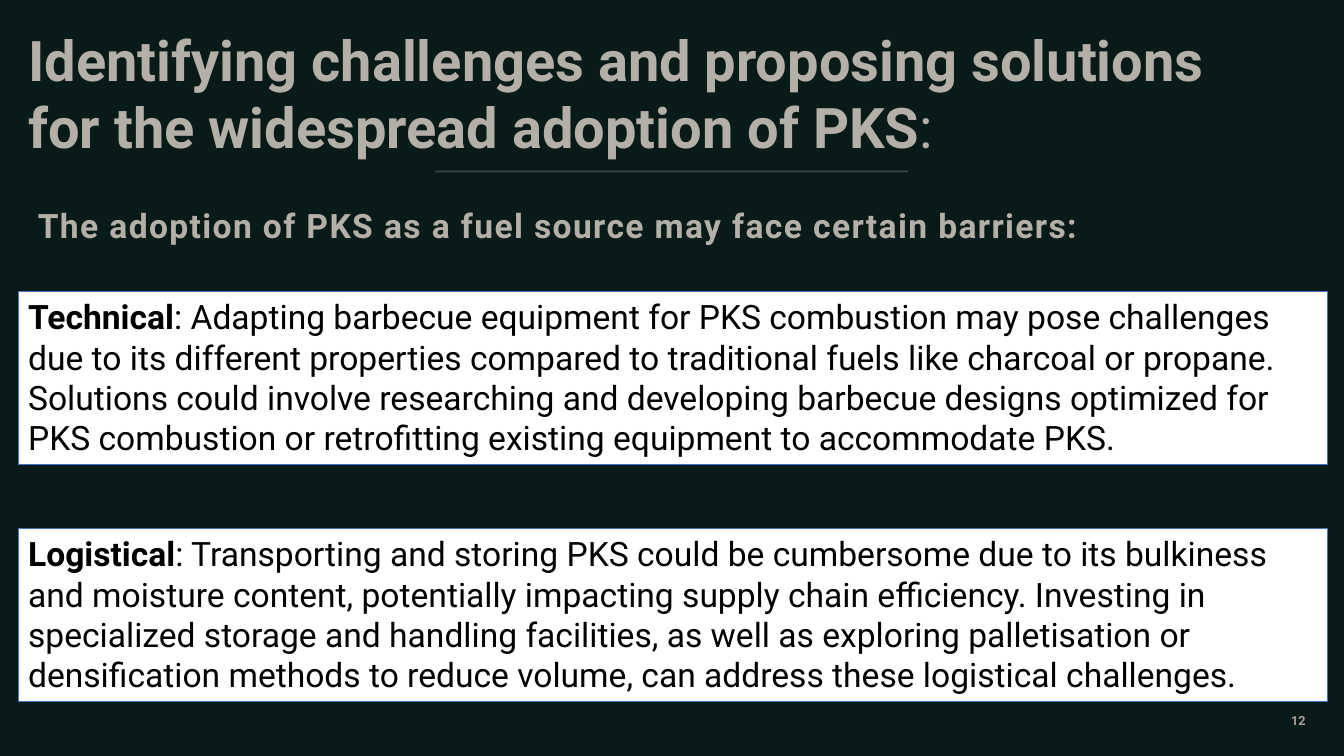
from dataclasses import dataclass

from lxml import etree
from pptx import Presentation
from pptx.dml import color
from pptx.enum import shapes, text
from pptx.oxml import ns
from pptx.util import Pt


@dataclass(frozen=True)
class Theme:
    font: str = "Roboto"
    background: str = "081B19"
    heading: str = "B5B0A7"
    rule: str = "415347"
    number: str = "E2D4CA"
    panel: str = "FFFFFF"
    panel_border: str = "4472C4"
    panel_text: str = "000000"
    title_size: int = 40
    body_size: int = 24
    number_size: int = 9


def rgb(value):
    return color.RGBColor.from_string(value)


def add_child(parent, tag, **attributes):
    return etree.SubElement(parent, ns.qn(tag), attributes)


def make_translucent(element, percent):
    for fill_color in element.iter(ns.qn("a:srgbClr")):
        add_child(fill_color, "a:alpha", val=str(percent * 1000))


class Page:
    def __init__(self, deck, theme):
        self.theme = theme
        self.page = deck.slides.add_slide(deck.slide_layouts[1])
        fill = self.page.background.fill
        fill.solid()
        fill.fore_color.rgb = rgb(theme.background)

    def place(self, box, left, top, width, height):
        box.left, box.top = Pt(left), Pt(top)
        box.width, box.height = Pt(width), Pt(height)

    def add_spans(self, box, spans, size, ink, align=text.PP_ALIGN.LEFT,
                  anchor=text.MSO_ANCHOR.TOP):
        """Fill the first paragraph with (wording, bold) spans."""
        frame = box.text_frame
        frame.word_wrap = True
        frame.auto_size = text.MSO_AUTO_SIZE.NONE
        frame.vertical_anchor = anchor
        para = frame.paragraphs[0]
        para.alignment = align
        para.space_before = Pt(0)
        for wording, bold in spans:
            span = para.add_run()
            span.text = wording
            span.font.name = self.theme.font
            span.font.size = Pt(size)
            span.font.bold = bold
            span.font.color.rgb = rgb(ink)
        return para

    def title(self, spans, *bounds):
        box = self.page.shapes.title
        self.place(box, *bounds)
        self.add_spans(box, spans, self.theme.title_size, self.theme.heading)

    def lead(self, wording, *bounds):
        box = self.page.placeholders[1]
        self.place(box, *bounds)
        para = self.add_spans(box, [(wording, True)], self.theme.body_size,
                              self.theme.heading, text.PP_ALIGN.JUSTIFY)
        box.text_frame.margin_left = Pt(14)
        box.text_frame.margin_top = Pt(6)
        para.line_spacing = 1.2
        properties = para._p.get_or_add_pPr()
        properties.set("marL", "0")
        properties.set("indent", "0")
        add_child(properties, "a:buNone")
        para.runs[0].font._element.set("spc", "100")

    def rule(self, left, right, top):
        line = self.page.shapes.add_connector(
            shapes.MSO_CONNECTOR.STRAIGHT, Pt(left), Pt(top), Pt(right), Pt(top))
        line.line.color.rgb = rgb(self.theme.rule)
        line.line.width = Pt(1.5)
        make_translucent(line._element, 75)
        add_child(line._element.spPr, "a:effectLst")

    def panel(self, spans, *bounds):
        box = self.page.shapes.add_shape(
            shapes.MSO_SHAPE.RECTANGLE, *map(Pt, bounds))
        box.shadow.inherit = False
        box.fill.solid()
        box.fill.fore_color.rgb = rgb(self.theme.panel)
        box.line.color.rgb = rgb(self.theme.panel_border)
        box.line.width = Pt(0.75)
        self.add_spans(box, spans, self.theme.body_size, self.theme.panel_text)

    def number(self, wording, *bounds):
        box = self.page.shapes.add_textbox(*map(Pt, bounds))
        para = self.add_spans(box, [(wording, True)], self.theme.number_size,
                              self.theme.number, text.PP_ALIGN.RIGHT,
                              text.MSO_ANCHOR.MIDDLE)
        make_translucent(para._p, 75)


BARRIERS = [
    ("Technical",
     ": Adapting barbecue equipment for PKS combustion may pose challenges due "
     "to its different properties compared to traditional fuels like charcoal "
     "or propane. Solutions could involve researching and developing barbecue "
     "designs optimized for PKS combustion or retrofitting existing equipment "
     "to accommodate PKS."),
    ("Logistical",
     ": Transporting and storing PKS could be cumbersome due to its bulkiness "
     "and moisture content, potentially impacting supply chain efficiency. "
     "Investing in specialized storage and handling facilities, as well as "
     "exploring palletisation or densification methods to reduce volume, can "
     "address these logistical challenges."),
]


def main():
    deck = Presentation()
    deck.slide_width, deck.slide_height = Pt(960), Pt(540)
    page = Page(deck, Theme())
    left = 13

    # Heading and rule
    page.title([("Identifying challenges and proposing solutions for the "
                 "widespread adoption of PKS", True), (":", False)],
               left, 14.4, 911, 104.4)
    page.rule(311, 648.7, 122.4)

    # Lead sentence
    page.lead("The adoption of PKS as a fuel source may face certain barriers:",
              left, 134.6, 815, 59)

    # One panel per barrier
    for index, (name, detail) in enumerate(BARRIERS):
        page.panel([(name, True), (detail, False)],
                   left, 208.1 + index * 169.2, 935.3, 123.8)

    # Page number
    page.number("12", 828, 500.4, 111.6, 28.8)

    deck.save("out.pptx")


if __name__ == "__main__":
    main()
